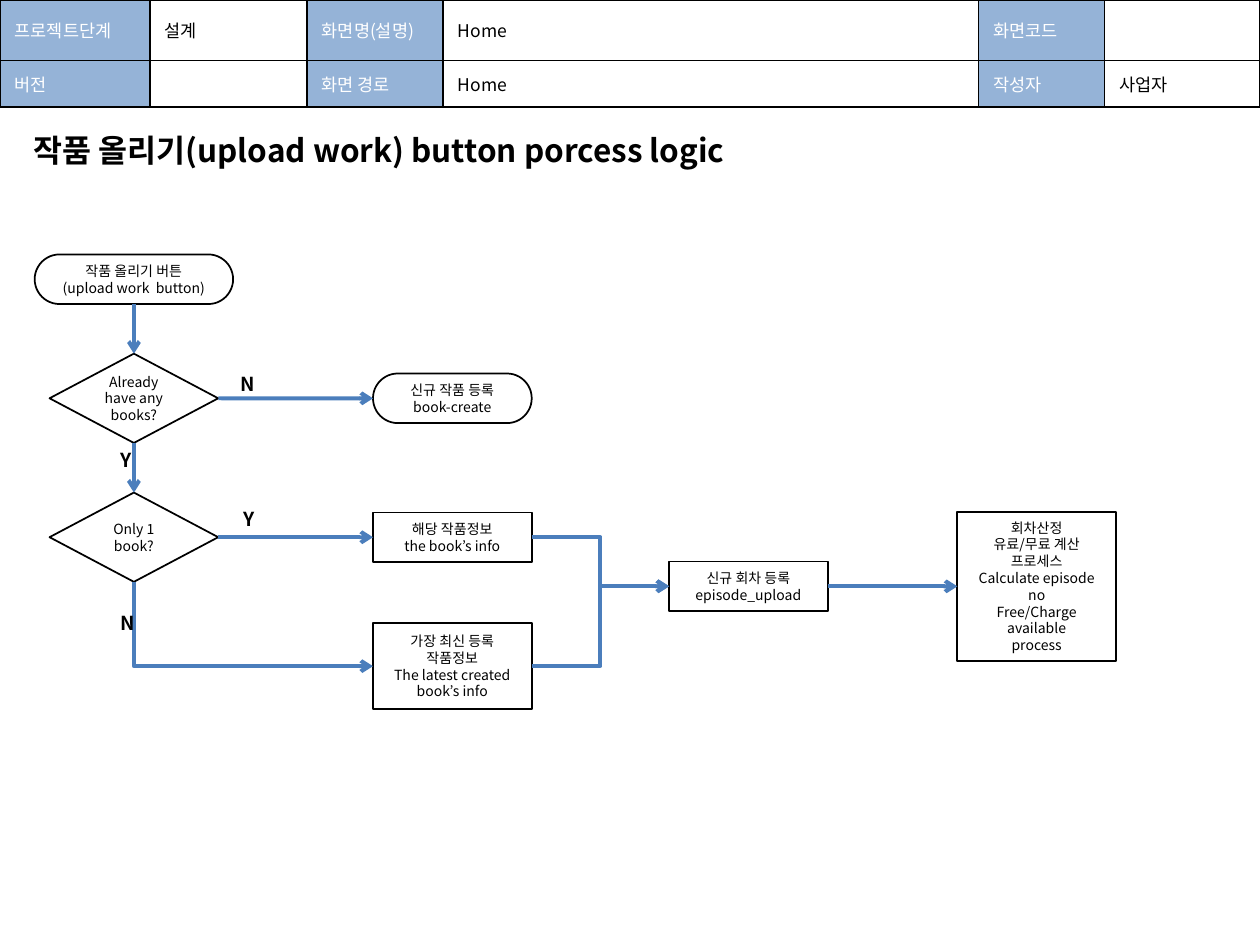
from lxml import etree
from pptx import Presentation
from pptx import util as u
from pptx.dml.color import RGBColor
from pptx.enum import shapes, text
from pptx.oxml import ns

BLACK = RGBColor(0x00, 0x00, 0x00)
WHITE = RGBColor(0xFF, 0xFF, 0xFF)
HEADER = RGBColor(0x95, 0xB3, 0xD7)
ARROW = RGBColor(0x4B, 0x7E, 0xBC)
FONT = "Noto Sans CJK KR"

TITLE = {"size": u.Pt(18), "bold": True}
BRANCH = {"size": u.Pt(11), "bold": True}
NODE = {"size": u.Pt(8)}
CELL = {"size": u.Pt(10)}
CELL_BOX = {
    "margin_left": u.Cm(0.3), "margin_right": u.Cm(0.3),
    "margin_top": u.Cm(0.1), "margin_bottom": u.Cm(0.1),
    "vertical_anchor": text.MSO_ANCHOR.MIDDLE,
}
NODE_BOX = {"word_wrap": True, "vertical_anchor": text.MSO_ANCHOR.MIDDLE}
LABEL_BOX = {"word_wrap": True, "auto_size": text.MSO_AUTO_SIZE.SHAPE_TO_FIT_TEXT}

PILL = shapes.MSO_SHAPE.ROUNDED_RECTANGLE
DECISION = shapes.MSO_SHAPE.FLOWCHART_DECISION
BOX = shapes.MSO_SHAPE.RECTANGLE
TOP, LEFT, BOTTOM, RIGHT = range(4)


def apply(obj, values):
    for name, value in values.items():
        setattr(obj, name, value)


def add_tag(parent, tag, **attrs):
    return etree.SubElement(parent, ns.qn(tag), **attrs)


class FlowSlide:
    def __init__(self, prs):
        self.s = prs.slides.add_slide(prs.slide_layouts[6])

    def fill_text(self, tf, paragraphs, style, color=BLACK, align=None):
        for i, words in enumerate(paragraphs):
            p = tf.paragraphs[0] if i == 0 else tf.add_paragraph()
            p.text = words
            p.alignment = align
            for r in p.runs:
                apply(r.font, {**style, "name": FONT})
                r.font.color.rgb = color
                add_tag(r._r.get_or_add_rPr(), "a:ea", typeface=FONT)

    def label(self, words, left, top, width, height, style, align=None):
        sp = self.s.shapes.add_textbox(u.Cm(left), u.Cm(top), u.Cm(width), u.Cm(height))
        apply(sp.text_frame, LABEL_BOX)
        self.fill_text(sp.text_frame, [words], style, align=align)

    def branch(self, words, left, top):
        self.label(words, left, top, 0.48, 0.74, BRANCH, text.PP_ALIGN.CENTER)

    def node(self, kind, cx, cy, width, height, *paragraphs):
        sp = self.s.shapes.add_shape(
            kind, u.Cm(cx - width / 2), u.Cm(cy - height / 2), u.Cm(width), u.Cm(height))
        if kind == PILL:
            sp.adjustments[0] = 0.5
        sp.shadow.inherit = False
        sp.fill.solid()
        sp.fill.fore_color.rgb = WHITE
        sp.line.color.rgb = BLACK
        sp.line.width = u.Pt(1)
        apply(sp.text_frame, NODE_BOX)
        self.fill_text(sp.text_frame, paragraphs, NODE, align=text.PP_ALIGN.CENTER)
        return sp

    def arrow(self, start, start_side, end, end_side, kind=shapes.MSO_CONNECTOR.STRAIGHT):
        cn = self.s.shapes.add_connector(kind, 0, 0, 0, 0)
        cn.begin_connect(start, start_side)
        cn.end_connect(end, end_side)
        cn.line.color.rgb = ARROW
        cn.line.width = u.Pt(2.25)
        spPr = cn._element.spPr
        add_tag(spPr.find(ns.qn("a:ln")), "a:tailEnd", type="arrow")
        add_tag(spPr, "a:effectLst")
        return cn

    def elbow(self, start, end):
        return self.arrow(start, RIGHT, end, LEFT, shapes.MSO_CONNECTOR.ELBOW)

    def corner(self, start, end):
        cn = self.arrow(start, BOTTOM, end, LEFT, shapes.MSO_CONNECTOR.ELBOW)
        x, y, w, h = cn.left, cn.top, cn.width, cn.height
        apply(cn, {"left": x + (w - h) // 2, "top": y + (h - w) // 2,
                   "width": h, "height": w})
        spPr = cn._element.spPr
        spPr.find(ns.qn("a:prstGeom")).set("prst", "bentConnector2")
        xfrm = spPr.find(ns.qn("a:xfrm"))
        xfrm.set("rot", "16200000")
        xfrm.set("flipH", "1")

    def table(self, rows, widths, heights):
        tbl = self.s.shapes.add_table(
            len(rows), len(widths), 0, 0, u.Cm(sum(widths)), u.Cm(sum(heights))).table
        for col, width in zip(tbl.columns, widths):
            col.width = u.Cm(width)
        for i, (row, height) in enumerate(zip(rows, heights)):
            tbl.rows[i].height = u.Cm(height)
            for j, words in enumerate(row):
                self.cell(tbl.cell(i, j), words, j % 2 == 0)

    def cell(self, cell, words, heading):
        apply(cell, CELL_BOX)
        tcPr = cell._tc.get_or_add_tcPr()
        for side in ("a:lnL", "a:lnR", "a:lnT", "a:lnB"):
            ln = add_tag(tcPr, side, w=str(u.Pt(1)))
            add_tag(add_tag(ln, "a:solidFill"), "a:srgbClr", val=str(BLACK))
        cell.fill.solid()
        cell.fill.fore_color.rgb = HEADER if heading else WHITE
        if words:
            self.fill_text(cell.text_frame, [words], CELL, WHITE if heading else BLACK)
        else:
            add_tag(cell.text_frame.paragraphs[0]._p, "a:endParaRPr", sz="1000")


def main():
    prs = Presentation()
    prs.slide_width, prs.slide_height = u.Cm(25.4), u.Cm(19.05)
    s = FlowSlide(prs)

    s.table([["프로젝트단계", "설계", "화면명(설명)", "Home", "화면코드", ""],
             ["버전", "", "화면 경로", "Home", "작성자", "사업자"]],
            [3.02, 3.17, 2.74, 10.8, 2.54, 3.13], [0.97, 0.94])
    s.label("작품 올리기(upload work) button porcess logic", 0.43, 2.51, 17.27, 1.02, TITLE)

    col1, col2, col3, col4 = 2.7, 9.12, 15.09, 20.9
    row1, row2, row3, row4, row5 = 5.63, 8.03, 10.83, 11.82, 13.43
    start = s.node(PILL, col1, row1, 4, 1, "작품 올리기 버튼\n(upload work  button)")
    any_books = s.node(DECISION, col1, row2, 3.4, 1.8, "Already\nhave any\nbooks?")
    create = s.node(PILL, col2, row2, 3.2, 1, "신규 작품 등록\nbook-create")
    one_book = s.node(DECISION, col1, row3, 3.4, 1.8, "Only 1 book?")
    upload = s.node(BOX, col3, row4, 3.2, 1, "신규 회차 등록", "episode_upload")
    latest = s.node(BOX, col2, row5, 3.2, 1.73, "가장 최신 등록\n작품정보",
                    "The latest created\nbook’s info")
    info = s.node(BOX, col2, row3, 3.2, 1, "해당 작품정보\nthe book’s info")
    episode = s.node(BOX, col4, row4, 3.2, 3, "회차산정", "유료/무료 계산", "프로세스",
                     "Calculate episode no", "Free/Charge available", "process")

    for above, below in ((start, any_books), (any_books, one_book)):
        s.arrow(above, BOTTOM, below, TOP)
    for before, after in ((any_books, create), (one_book, info), (upload, episode)):
        s.arrow(before, RIGHT, after, LEFT)
    for source in (info, latest):
        s.elbow(source, upload)
    s.corner(one_book, latest)

    for words, left, top in (("N", 4.62, 7.39), ("Y", 2.21, 8.92),
                             ("N", 2.21, 12.19), ("Y", 4.67, 10.11)):
        s.branch(words, left, top)

    prs.save("out.pptx")


if __name__ == "__main__":
    main()
